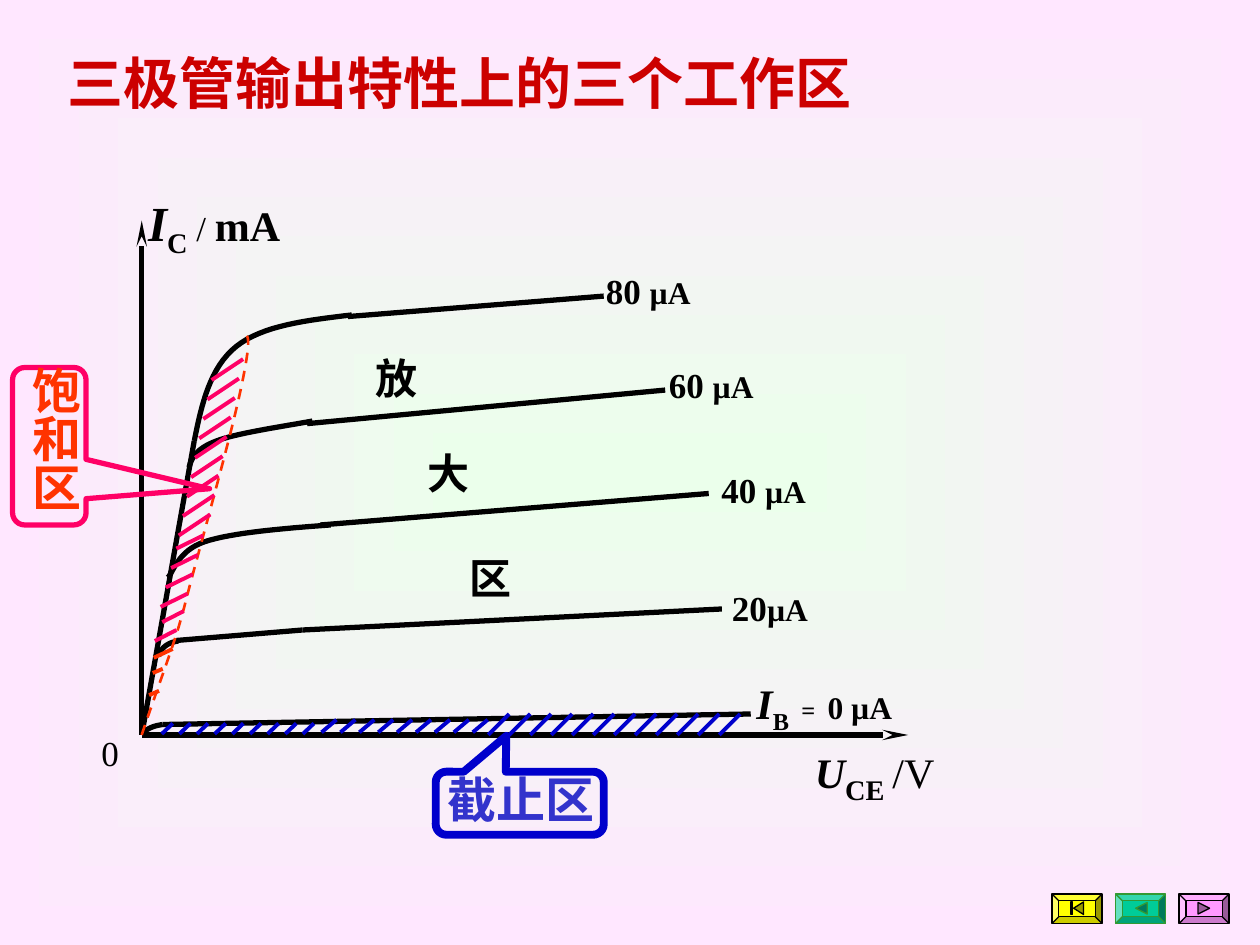
"""Build a slide on the three working regions of a transistor's output curves."""
import pptx
import pptx.util
import pptx.dml.color
import pptx.enum.dml
import pptx.enum.shapes
import pptx.enum.text
import pptx.oxml
import pptx.oxml.ns

THEME = {
    "ink": "000000", "title": "CC0000", "cutoff": "0000CC", "cutoff text": "3333CC",
    "saturation": "FF0066", "saturation text": "FF3300",
    "center": "EBFFEB", "edge": "FFE7FF",
    "first": ("FFFF00", "000000", "999900"),
    "back": ("00CC99", "339933", "007A5C"),
    "forward": ("FF99FF", "000000", "995C99"),
    "latin": "Times New Roman", "cjk": "Noto Sans CJK SC",
    "title size": 32, "region size": 28, "zone size": 24, "value size": 20, "unit size": 18,
    "equals size": 14, "curve width": 3, "hatch width": 2.25, "dash width": 1.5,
    "cutoff width": 4.5, "button width": 0.75,
}
COLUMNS = 240
rgb = pptx.dml.color.RGBColor.from_string
qn = pptx.oxml.ns.qn
Pt = pptx.util.Pt
Shape = pptx.enum.shapes.MSO_SHAPE

deck = pptx.Presentation()
deck.slide_width, deck.slide_height = pptx.util.Inches(10), pptx.util.Inches(7.5)
cell = deck.slide_width / COLUMNS
slide = deck.slides.add_slide(deck.slide_layouts[6])
shapes = slide.shapes


def add_line(start, end, color="ink", width="curve width", arrow=False):
    ends = [round(value * cell) for value in (*start, *end)]
    line = shapes.add_connector(pptx.enum.shapes.MSO_CONNECTOR.STRAIGHT, *ends)
    line.line.color.rgb = rgb(THEME[color])
    line.line.width = Pt(THEME[width])
    properties = line._element.spPr
    if arrow:
        stroke = properties.find(qn("a:ln"))
        stroke.append(stroke.makeelement(
            qn("a:tailEnd"), {"type": "stealth", "w": "sm", "len": "lg"}))
    properties.append(properties.makeelement(qn("a:effectLst"), {}))


def add_text(place, pieces, color="ink", font="latin"):
    box = shapes.add_textbox(*[round(value * cell) for value in place])
    frame = box.text_frame
    frame.word_wrap = False
    frame.vertical_anchor = pptx.enum.text.MSO_ANCHOR.MIDDLE
    paragraph = frame.paragraphs[0]
    paragraph.alignment = pptx.enum.text.PP_ALIGN.CENTER
    for words, size, style in pieces:
        run = paragraph.add_run()
        run.text = words
        run.font.size = Pt(size)
        run.font.bold = "b" in style
        run.font.italic = "i" in style
        run.font.color.rgb = rgb(THEME[color])
        run.font.name = THEME[font]
        properties = run._r.get_or_add_rPr()
        properties.append(properties.makeelement(qn("a:ea"), {"typeface": THEME["cjk"]}))
        if "s" in style:
            properties.set("baseline", "-25000")
    return frame


backdrop = slide.background.fill
backdrop.gradient()
for stop, color in zip(backdrop.gradient_stops, ("center", "edge")):
    stop.color.rgb = rgb(THEME[color])
gradient = next(slide._element.iter(qn("a:gradFill")))
gradient.replace(gradient.find(qn("a:lin")), pptx.oxml.parse_xml(
    '<a:path xmlns:a="http://schemas.openxmlformats.org/drawingml/2006/main" path="rect">'
    '<a:fillToRect l="50000" t="50000" r="50000" b="50000"/></a:path>'))

origin = (27, 140)
for axis_end in ((27, 42), (173, 140)):
    add_line(origin, axis_end, arrow=True)

straight_parts = [
    ((61, 100), (135, 94)), ((58.5, 80.7), (126.7, 74.3)),
    ((57.6, 120), (137.5, 116)), ((57.6, 120), (33.6, 122)),
    ((143, 136), (31, 138)), (origin, (37, 84)), ((66.3, 60.3), (115, 56.4)),
]
for start, end in straight_parts:
    add_line(start, end)

knees = [
    [(32, 110), (33, 109), (33.9, 104.9), (39, 103.2), (44.1, 101.5), (53.5, 100.7), (63, 100)],
    [(36, 89), (36.5, 87.4), (37.2, 85.5), (41.2, 84), (45.2, 82.5), (52.3, 81.5), (59.5, 80.2)],
    [(34, 122.1), (32.5, 122.3), (30.8, 123), (30.2, 125)],
    [(31, 138), (30, 138.2), (28.5, 138.3), (27, 139.8)],
    [(37, 84), (38.4, 77), (40, 70), (45, 66), (50, 62), (58.5, 61), (67, 60)],
]
boundary = [origin, (28, 136.8), (32.2, 125.3), (33.8, 120.2), (35.3, 115.2), (34.8, 116.6),
            (36.7, 109.5), (38.6, 102.5), (43.2, 85.7), (45, 78), (46.8, 70.3), (47.8, 64.6),
            (47, 64)]
steps = 16
for knots in knees + [boundary]:
    points = [knots[0]]
    for first in range(0, len(knots) - 1, 3):
        for step in range(1, steps + 1):
            t = step / steps
            weights = ((1 - t) ** 3, 3 * t * (1 - t) ** 2, 3 * t * t * (1 - t), t ** 3)
            span = knots[first:first + 4]
            points.append([sum(w * knot[axis] for w, knot in zip(weights, span))
                           for axis in (0, 1)])
    trace = [(x * cell, y * cell) for x, y in points]
    outline = shapes.build_freeform(*trace[0])
    outline.add_line_segments(trace[1:], close=False)
    curve = outline.convert_to_shape()
    curve.shadow.inherit = False
    curve.fill.background()
    dashed = knots is boundary
    curve.line.color.rgb = rgb(THEME["saturation text" if dashed else "ink"])
    curve.line.width = Pt(THEME["dash width" if dashed else "curve width"])
    if dashed:
        curve.line.dash_style = pptx.enum.dml.MSO_LINE.DASH

hatchings = [
    ("cutoff", 12, (141, 136), (-4, 0), (-4, 4)),
    ("cutoff", 9, (92.9, 137.1), (-3.6, 0), (-2.85, 2.4)),
    ("cutoff", 9, (59.8, 137.8), (-3.36, 0), (-2.1, 2)),
    ("saturation", 9, (46.3, 68.4), (-0.78, 3.7), (-6, 4)),
    ("saturation", 4, (38.7, 102), (-1, 3.7), (-5.1, 2.5)),
    ("saturation", 2, (35, 116.4), (-1.4, 3.6), (-4.1, 2.1)),
    ("saturation text", 1, (32.9, 123.6), (0, 0), (-3.6, 1.7)),
    ("saturation text", 2, (31, 127.4), (-0.7, 4.2), (-1.9, 0.8)),
]
for color, count, (x, y), (step_x, step_y), (run_x, run_y) in hatchings:
    for index in range(count):
        left, top = x + index * step_x, y + index * step_y
        add_line((left, top), (left + run_x, top + run_y), color, "hatch width")

callouts = [
    ((83, 147, 32, 12), (-0.08, -1.07), "cutoff", "cutoff width"),
    ((2.4, 70, 14, 30), (2.18, 0.27), "saturation", "curve width"),
]
for place, pointer, color, width in callouts:
    callout = shapes.add_shape(Shape.ROUNDED_RECTANGULAR_CALLOUT,
                               *[round(value * cell) for value in place])
    callout.adjustments[0], callout.adjustments[1] = pointer
    callout.shadow.inherit = False
    callout.fill.background()
    callout.line.color.rgb = rgb(THEME[color])
    callout.line.width = Pt(THEME[width])

title, region = THEME["title size"], THEME["region size"]
zone, value, unit = THEME["zone size"], THEME["value size"], THEME["unit size"]
add_text((7.4, 8, 160.3, 15.4), [("三极管输出特性上的三个工作区", title, "b")], "title", "cjk")
add_text((24, 35.5, 33.6, 15), [("I", region, "bi"), ("C", region, "bs"),
                                (" / ", value, ""), ("mA", zone, "b")])
add_text((151, 139.7, 31.2, 15), [("U", zone, "bi"), ("CE", region, "bs"),
                                  (" ", unit, ""), ("/V", zone, "")])
add_text((15, 138, 12, 10.5), [("0", value, "")])
add_text((137, 127.2, 40, 13.4), [("I", zone, "bi"), ("B", zone, "bs"), (" ", region, "b"),
                                  ("=", THEME["equals size"], "b"), (" ", region, "b"),
                                  ("0 µA", unit, "b")])
for words, left, top in (("放", 67, 66), ("大", 77, 84), ("区", 85, 104)):
    add_text((left, top, 17, 12), [(words, zone, "b")])
for current, left, top in (("80 ", 111, 50), ("60 ", 123, 68), ("40 ", 133, 88),
                           ("20", 134.2, 110.4)):
    add_text((left, top, 24.9, 10.5), [(current, value, "b"), ("µA", unit, "b")])
add_text((79.3, 145.4, 40, 13.7), [("截止区", region, "b")], "cutoff text")
saturation = add_text((2.6, 67.3, 15.8, 36), [("饱和区", region, "b")], "saturation text")
saturation._txBody.bodyPr.set("vert", "eaVert")
saturation.margin_left = saturation.margin_right = round(1.2 * cell)
saturation.margin_top = saturation.margin_bottom = round(2.4 * cell)

buttons = [
    ("first", [[(4.1, 2.7), (6, 1.5), (6, 3.9)],
               [(3.6, 1.5), (3.85, 1.5), (3.85, 3.9), (3.6, 3.9)]]),
    ("back", [[(3.8, 2.7), (6, 1.6), (6, 3.8)]]),
    ("forward", [[(3.6, 1.6), (5.8, 2.7), (3.6, 3.8)]]),
]
button_top = 170.3
for index, (action, icons) in enumerate(buttons):
    face, edge, icon_fill = THEME[action]
    button_left = 200.4 + 12.1 * index
    button = shapes.add_shape(Shape.BEVEL, *[round(length * cell) for length in
                                             (button_left, button_top, 9.5, 5.6)])
    button.adjustments[0] = 0.23
    parts = [(button, face)]
    for icon in icons:
        corners = [((button_left + x) * cell, (button_top + y) * cell) for x, y in icon]
        outline = shapes.build_freeform(*corners[0])
        outline.add_line_segments(corners[1:])
        parts.append((outline.convert_to_shape(), icon_fill))
    for part, fill in parts:
        part.shadow.inherit = False
        part.fill.solid()
        part.fill.fore_color.rgb = rgb(fill)
        part.line.color.rgb = rgb(edge)
        part.line.width = Pt(THEME["button width"])

deck.save("out.pptx")
